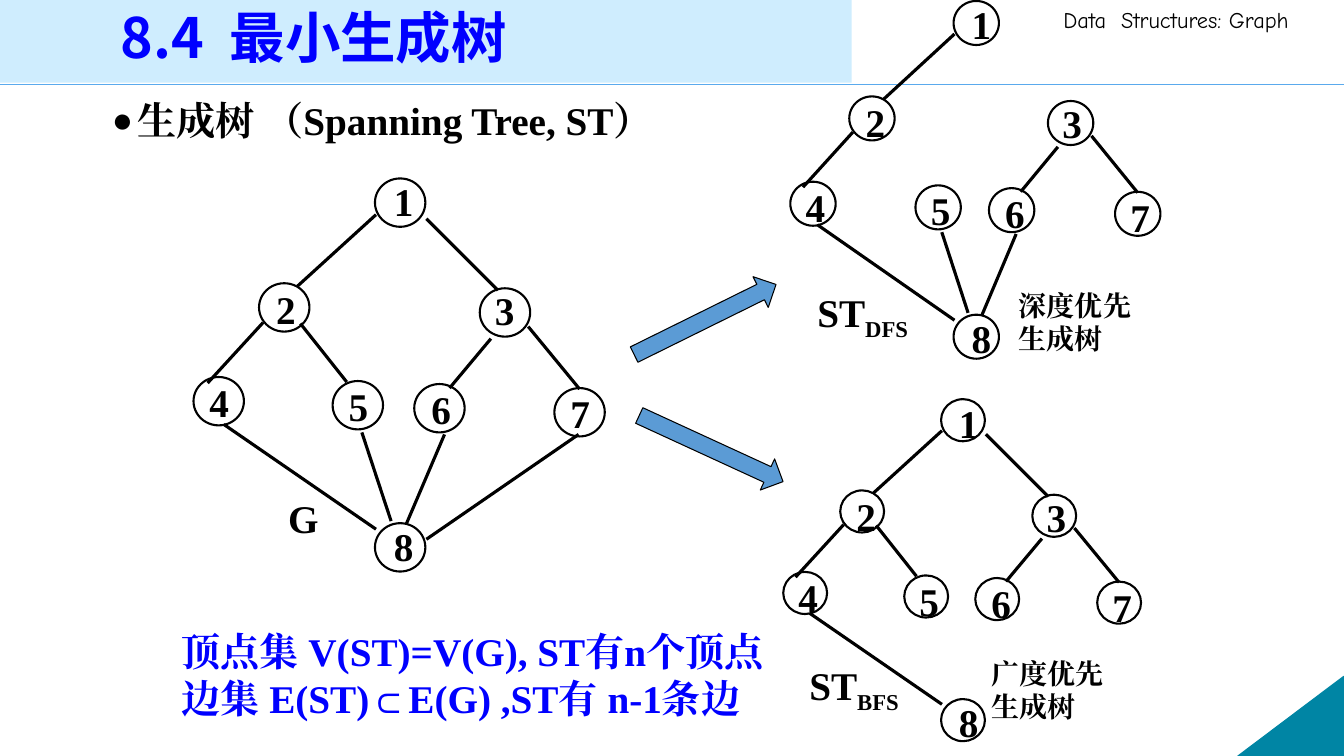
import dataclasses

import lxml.etree
import pptx
import pptx.dml.color
import pptx.enum.shapes
import pptx.enum.text
import pptx.oxml.ns
import pptx.util

SHAPE = pptx.enum.shapes.MSO_SHAPE
ALIGN = pptx.enum.text.PP_ALIGN
ANCHOR = pptx.enum.text.MSO_ANCHOR
qn = pptx.oxml.ns.qn


@dataclasses.dataclass(frozen=True)
class Theme:
    cell: int = pptx.util.Inches(0.1)
    columns: float = 133.33
    rows: float = 75
    serif: str = "Times New Roman"
    heading: str = "Noto Sans CJK SC"
    casual: str = "Comic Neue"
    black: str = "000000"
    white: str = "FFFFFF"
    blue: str = "0000FF"
    panel: str = "CFEDFE"
    rule: str = "5AAAED"
    corner: str = "0085A4"
    arrow: str = "5B9BD5"
    title_size: float = 39.6
    text_size: float = 28
    caption_size: float = 20
    header_size: float = 16


THEME = Theme()

NODES = {
    "1": (18, 0, 18.9, -0.6, 7.5, 5),
    "2": (6.5, 10.4, 7.2, 10.1, 7.5, 6.1),
    "3": (28.4, 10.9, 28.9, 10.2, 7.5, 6.2),
    "4": (0, 19.7, 0.6, 19.3, 6.7, 5.9),
    "5": (13.8, 20.1, 14.4, 19.7, 6.2, 6.4),
    "6": (21.9, 20.4, 22.6, 20, 5.5, 6.9),
    "7": (35.8, 20.8, 36.4, 20.4, 4.2, 5.7),
    "8": (18, 34.2, 18.9, 33.6, 7.5, 6.7),
}
EDGES = {
    "12": (18.1, 3.6, 10.3, 10.7),
    "13": (23.1, 4, 30.2, 11.1),
    "24": (6.9, 14.3, 1.4, 20.3),
    "25": (10.6, 14.4, 15.2, 20.2),
    "36": (29.5, 15.9, 25.4, 20.8),
    "37": (33.2, 14.7, 38.3, 20.9),
    "48": (3, 24.4, 18.1, 34.8),
    "58": (16.7, 25.2, 19.6, 34),
    "68": (24.9, 25.4, 21.1, 34.3),
    "78": (38.2, 25.4, 23.1, 35.8),
}
TREES = (
    (19.2, 17.7, 1, 1, tuple(EDGES)),
    (78.4, 0.1, 0.9, 0.91, ("12", "24", "36", "37", "48", "58", "68")),
    (77.7, 39.6, 0.87, 0.87, ("12", "13", "24", "25", "36", "37", "48")),
)


def write(paragraph, text, *, font=THEME.serif, size=THEME.text_size,
          color=THEME.black, bold=True, baseline=None):
    for index, line in enumerate(text.split("\n")):
        if index:
            paragraph.add_line_break()
        run = paragraph.add_run()
        run.text = line
        run.font.name = font
        run.font.size = pptx.util.Pt(size)
        run.font.bold = bold
        run.font.color.rgb = pptx.dml.color.RGBColor.from_string(color)
        properties = run._r.get_or_add_rPr()
        lxml.etree.SubElement(properties, qn("a:ea"), typeface=font)
        if baseline:
            properties.set("baseline", str(baseline))


class Board:
    """Holds the theme and the slide, and draws each kind of element on a grid."""

    def __init__(self, slide, theme):
        self.slide = slide
        self.theme = theme
        self.shapes = slide.shapes

    def lengths(self, *cells):
        return [round(cell * self.theme.cell) for cell in cells]

    def shape(self, kind, box, fill, line=None, width=0.75):
        shape = self.shapes.add_shape(kind, *self.lengths(*box))
        shape.shadow.inherit = False
        shape.fill.solid()
        shape.fill.fore_color.rgb = pptx.dml.color.RGBColor.from_string(fill)
        if line:
            shape.line.color.rgb = pptx.dml.color.RGBColor.from_string(line)
            shape.line.width = pptx.util.Pt(width)
        else:
            shape.line.fill.background()
        return shape

    def line(self, ends, color, width):
        connector = self.shapes.add_connector(
            pptx.enum.shapes.MSO_CONNECTOR.STRAIGHT, *self.lengths(*ends))
        connector.line.color.rgb = pptx.dml.color.RGBColor.from_string(color)
        connector.line.width = pptx.util.Pt(width)
        lxml.etree.SubElement(connector._element.spPr, qn("a:effectLst"))

    def text(self, box, *texts, wrap=True, align=None, **style):
        frame = self.shapes.add_textbox(*self.lengths(*box)).text_frame
        frame.word_wrap = wrap
        for index, text in enumerate(texts):
            paragraph = frame.add_paragraph() if index else frame.paragraphs[0]
            paragraph.alignment = align
            write(paragraph, text, **style)
        return frame.paragraphs[0]

    def placeholder(self, shape, box, anchor):
        shape.left, shape.top, shape.width, shape.height = self.lengths(*box)
        self.slide.shapes._spTree.append(shape._element)
        shape.text_frame.vertical_anchor = anchor
        paragraph = shape.text_frame.paragraphs[0]
        paragraph.alignment = ALIGN.LEFT
        paragraph.space_before = pptx.util.Pt(0)
        return paragraph

    def title(self, box, text):
        paragraph = self.placeholder(self.slide.shapes.title, box, ANCHOR.MIDDLE)
        paragraph.line_spacing = 0.9
        write(paragraph, text, font=self.theme.heading,
              size=self.theme.title_size, color=self.theme.blue)

    def bullet(self, box, text):
        paragraph = self.placeholder(self.slide.placeholders[1], box, ANCHOR.TOP)
        properties = paragraph._p.get_or_add_pPr()
        indent = pptx.util.Inches(0.25)
        properties.set("marL", str(indent))
        properties.set("indent", str(-indent))
        lxml.etree.SubElement(properties, qn("a:buSzPct"), val="90000")
        lxml.etree.SubElement(properties, qn("a:buChar"), char="●")
        write(paragraph, text)

    def tree(self, left, top, across, down, edges):
        def place(x, y):
            return left + x * across, top + y * down

        self.shapes = self.slide.shapes.add_group_shape().shapes
        for name, (x, y, label_x, label_y, width, height) in NODES.items():
            self.shape(SHAPE.OVAL, (*place(x, y), 5 * across, 4.8 * down),
                       self.theme.white, self.theme.black, 1.5)
            self.text((*place(label_x, label_y), width * across, height * down),
                      name, align=ALIGN.JUSTIFY)
        for edge in edges:
            x1, y1, x2, y2 = EDGES[edge]
            self.line((*place(x1, y1), *place(x2, y2)), self.theme.black, 2.25)
        self.shapes = self.slide.shapes

    def arrow(self, left, top, angle):
        arrow = self.shape(SHAPE.RIGHT_ARROW, (left, top, 15.7, 3.4),
                           self.theme.arrow, self.theme.black)
        arrow.rotation = angle

    def tree_name(self, left, top, subscript):
        paragraph = self.text((left, top, 11.8, 5.7), "ST", wrap=False)
        write(paragraph, subscript, baseline=-25000)


def main():
    presentation = pptx.Presentation()
    presentation.slide_width = round(THEME.columns * THEME.cell)
    presentation.slide_height = round(THEME.rows * THEME.cell)
    slide = presentation.slides.add_slide(presentation.slide_layouts[1])
    board = Board(slide, THEME)

    board.line((0, 8.4, THEME.columns, 8.4), THEME.rule, 1)
    corner = board.shape(SHAPE.RIGHT_TRIANGLE, (122.8, 67.1, 10.5, 7.9),
                         THEME.corner, THEME.corner)
    corner._element.spPr.xfrm.set("flipH", "1")
    board.text((104.5, 0.1, 28.9, 3.7), "Data  Structures: Graph",
               font=THEME.casual, size=THEME.header_size, bold=False)
    board.shape(SHAPE.RECTANGLE, (0, 0, 84.5, 8.2), THEME.panel)
    board.bullet((10.1, 9.1, 91.7, 8.3), "生成树 （Spanning Tree, ST）")
    board.title((11, 0.3, 66.7, 7.5), "8.4  最小生成树")

    for tree in TREES:
        board.tree(*tree)
    board.text((27.6, 48.5, 7.5, 6.2), "G", align=ALIGN.JUSTIFY)
    board.text((17, 61.7, 76.7, 10.4), "顶点集 V(ST)=V(G), ST有n个顶点",
               "边集 E(ST)⊂E(G) ,ST有 n-1条边", align=ALIGN.JUSTIFY, color=THEME.blue)
    for left, top, order in ((100.1, 28.1, "深度"), (97.4, 64.6, "广度")):
        board.text((left, top, 13.3, 7.7), f"{order}优先\n生成树",
                   wrap=False, size=THEME.caption_size)
    board.arrow(62.1, 30, 333.7)
    board.arrow(62.7, 42.8, 24.7)
    board.tree_name(79.3, 65.1, "BFS")
    board.tree_name(80.1, 28.1, "DFS")
    presentation.save("out.pptx")


if __name__ == "__main__":
    main()
